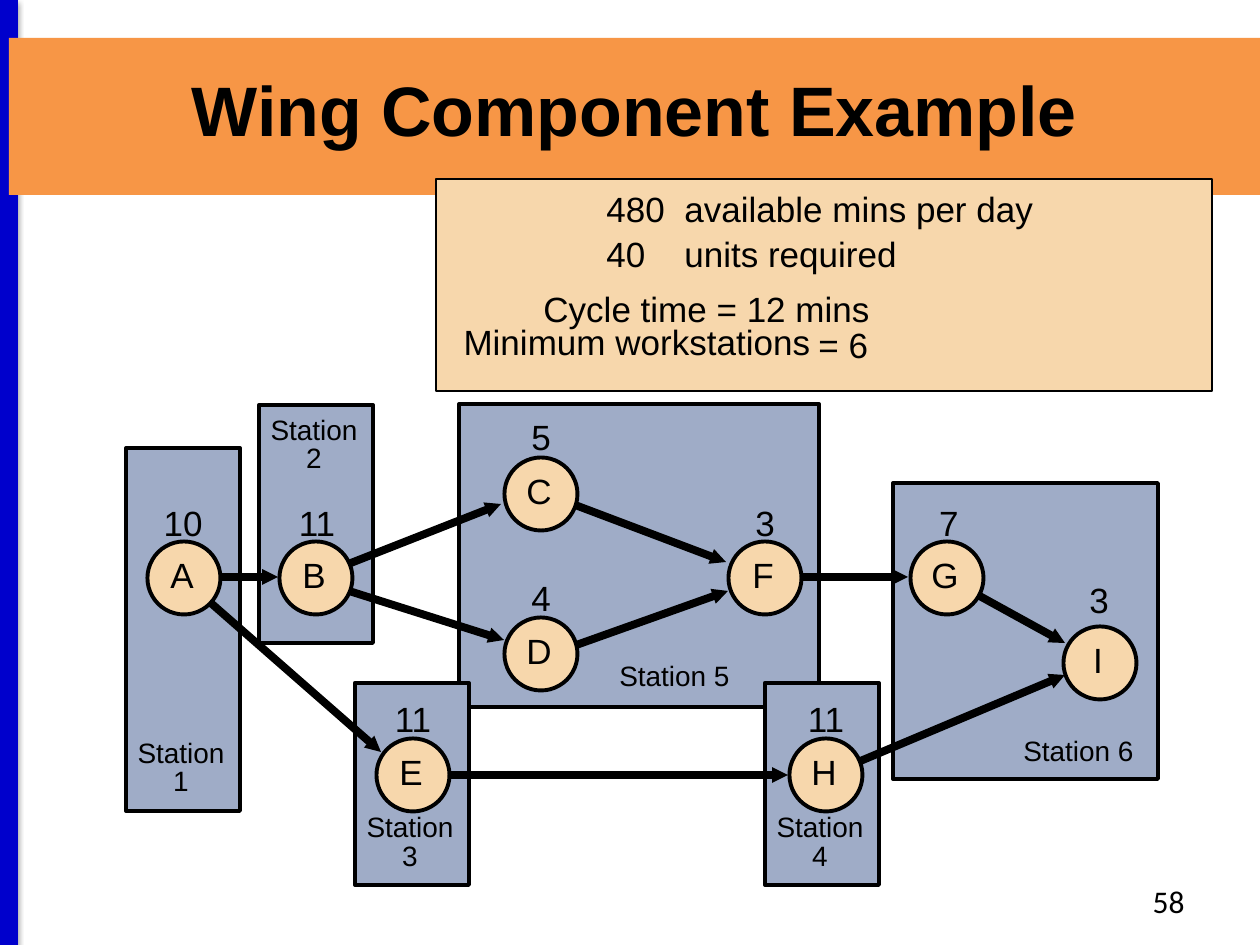
from lxml import etree
from pptx import Presentation
from pptx.dml.color import RGBColor
from pptx.enum.shapes import MSO_CONNECTOR, MSO_SHAPE
from pptx.enum.text import MSO_ANCHOR, PP_ALIGN
from pptx.oxml.ns import qn
from pptx.util import Pt

LEFT, CENTER, RIGHT = PP_ALIGN.LEFT, PP_ALIGN.CENTER, PP_ALIGN.RIGHT
RECTANGLE, OVAL = MSO_SHAPE.RECTANGLE, MSO_SHAPE.OVAL
STRAIGHT = MSO_CONNECTOR.STRAIGHT
EMU_PER_PX = 914400 / 126
WIDTH, HEIGHT = 1260, 945

THEME = {
    "ink": "000000", "edge": "0000CC", "title": "F79646",
    "station": "9FACC7", "task": "F7D7AC",
    "font": "Arial", "number_font": "Calibri",
    "title_size": 40, "body_size": 20, "station_size": 16, "number_size": 18,
    "outline": 2.25, "arrow": 4.5, "edge_width": 10, "hairline": 0.75,
}

# Content
TITLE = "Wing Component Example"
PAGE_NUMBER = "58"
# name, box (left, top, width, height), label top, label left if on one line
STATIONS = [
    ("Station 1", (126, 448, 114, 363), 734, None),
    ("Station 2", (259, 405, 114, 238), 411, None),
    ("Station 5", (459, 404, 360, 303), 652, 607),
    ("Station 3", (355, 683, 114, 202), 809, None),
    ("Station 4", (765, 683, 114, 202), 809, None),
    ("Station 6", (893, 483, 265, 296), 727, 1011),
]
# name, minutes, circle centre, centre and top of the minutes label
TASKS = [
    ("A", "10", (184, 578), (183, 495)),
    ("B", "11", (316, 578), (317, 495)),
    ("C", "5", (541, 494), (541, 409)),
    ("D", "4", (541, 654), (541, 570)),
    ("E", "11", (413, 775), (413, 691)),
    ("F", "3", (765, 578), (765, 495)),
    ("G", "7", (947, 578), (949, 495)),
    ("H", "11", (826, 775), (826, 691)),
    ("I", "3", (1100, 663), (1099, 572)),
]
ARROWS = [
    ((839, 770), (1065, 675)), ((956, 583), (1065, 643)),
    ((779, 577), (908, 577)), ((568, 648), (728, 591)),
    ((546, 494), (726, 562)), ((436, 775), (788, 775)),
    ((330, 585), (504, 640)), ((328, 572), (501, 504)),
    ((198, 577), (278, 577)), ((188, 583), (381, 752)),
]
PANEL = (436, 179, 776, 212)
DEMAND = ["480\tavailable mins per day", "40\tunits required"]
# text, box, format
RESULTS = [
    ("Cycle time = 12 mins", (531, 281, 626, 39), {}),
    ("Minimum workstations", (423, 321, 428, 60),
     {"align": CENTER, "spacing": 0.85}),
    ("= 6", (806, 317, 76, 55), {"wrap": False}),
]
DIAMETER = 73


def px(value):
    return round(value * EMU_PER_PX)


def color(name):
    return RGBColor.from_string(THEME[name])


def write(frame, lines, size="body_size", font="font", bold=False,
          align=LEFT, spacing=None, after=None, hanging=None, wrap=True):
    """Fill a text frame with one paragraph for each line."""
    frame.word_wrap = wrap
    for index, line in enumerate(lines):
        paragraph = frame.paragraphs[0] if index == 0 else frame.add_paragraph()
        paragraph.text = line
        paragraph.alignment = align
        if spacing:
            paragraph.line_spacing = spacing
        if after:
            paragraph.space_after = Pt(after)
        if hanging:
            properties = paragraph._p.get_or_add_pPr()
            properties.set("marL", str(px(hanging)))
            properties.set("indent", str(-px(hanging)))
        paragraph.font.size = Pt(THEME[size])
        paragraph.font.name = THEME[font]
        paragraph.font.bold = bold
        paragraph.font.color.rgb = color("ink")


def add_text(slide, lines, box, **style):
    shape = slide.shapes.add_textbox(*map(px, box))
    write(shape.text_frame, lines, **style)


def add_box(slide, kind, box, fill, outline="outline"):
    shape = slide.shapes.add_shape(kind, *map(px, box))
    shape.shadow.inherit = False
    shape.fill.solid()
    shape.fill.fore_color.rgb = color(fill)
    shape.line.color.rgb = color("ink")
    shape.line.width = Pt(THEME[outline])


def add_line(slide, start, end, stroke, width):
    line = slide.shapes.add_connector(STRAIGHT, *map(px, start + end))
    line.line.color.rgb = color(stroke)
    line.line.width = Pt(THEME[width])
    return line


def add_arrow(slide, start, end):
    arrow = add_line(slide, start, end, "ink", "arrow")
    etree.SubElement(arrow.line._get_or_add_ln(), qn("a:tailEnd"),
                     type="triangle", w="sm", len="sm")
    etree.SubElement(arrow._element.spPr, qn("a:effectLst"))


def add_title(slide):
    title = slide.shapes.title
    title.left, title.top, title.width, title.height = map(px, (9, 38, 1251, 157))
    title.fill.solid()
    title.fill.fore_color.rgb = color("title")
    title.text_frame.vertical_anchor = MSO_ANCHOR.MIDDLE
    write(title.text_frame, [TITLE], size="title_size", bold=True,
          align=CENTER, spacing=0.8)


def add_station(slide, name, box, label_top, label_left):
    add_box(slide, RECTANGLE, box, "station")
    if label_left is None:
        add_text(slide, [name], (box[0] - 6, label_top, 122, 72),
                 size="station_size", align=CENTER, spacing=0.85)
    else:
        add_text(slide, [name], (label_left, label_top, 137, 47),
                 size="station_size", wrap=False)


def add_task(slide, name, minutes, center, minutes_at):
    x, y = center
    add_box(slide, OVAL, (x - DIAMETER / 2, y - DIAMETER / 2, DIAMETER, DIAMETER),
            "task")
    add_text(slide, [name], (x - 29, y - 31, 54, 54), align=CENTER, wrap=False)
    add_text(slide, [minutes], (minutes_at[0] - 40, minutes_at[1], 80, 55),
             align=CENTER, wrap=False)


def main():
    presentation = Presentation()
    presentation.slide_width, presentation.slide_height = px(WIDTH), px(HEIGHT)
    slide = presentation.slides.add_slide(presentation.slide_layouts[5])

    # Frame of the slide; the edge line keeps the theme's soft shadow
    edge = add_line(slide, (9, 0), (9, HEIGHT), "edge", "edge_width")
    slide.shapes.title._element.addprevious(edge._element)
    add_title(slide)
    add_text(slide, [PAGE_NUMBER], (903, 876, 294, 50), size="number_size",
             font="number_font", align=RIGHT)

    # Precedence diagram
    for station in STATIONS:
        add_station(slide, *station)
    for arrow in ARROWS:
        add_arrow(slide, *arrow)
    for task in TASKS:
        add_task(slide, *task)

    # Cycle time panel
    add_box(slide, RECTANGLE, PANEL, "task", outline="hairline")
    add_text(slide, DEMAND, (594, 188, 597, 95), spacing=0.85, after=5, hanging=78)
    for text, box, style in RESULTS:
        add_text(slide, [text], box, **style)

    presentation.save("out.pptx")


if __name__ == "__main__":
    main()
